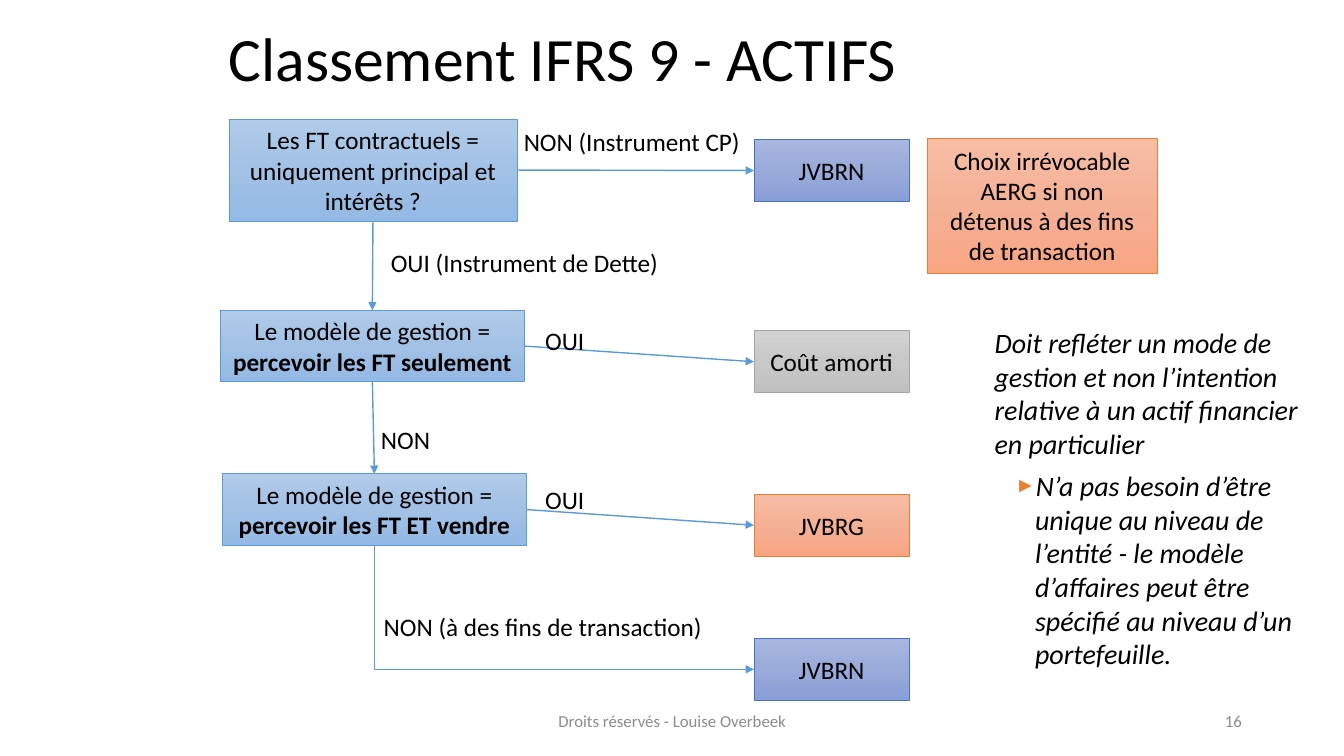
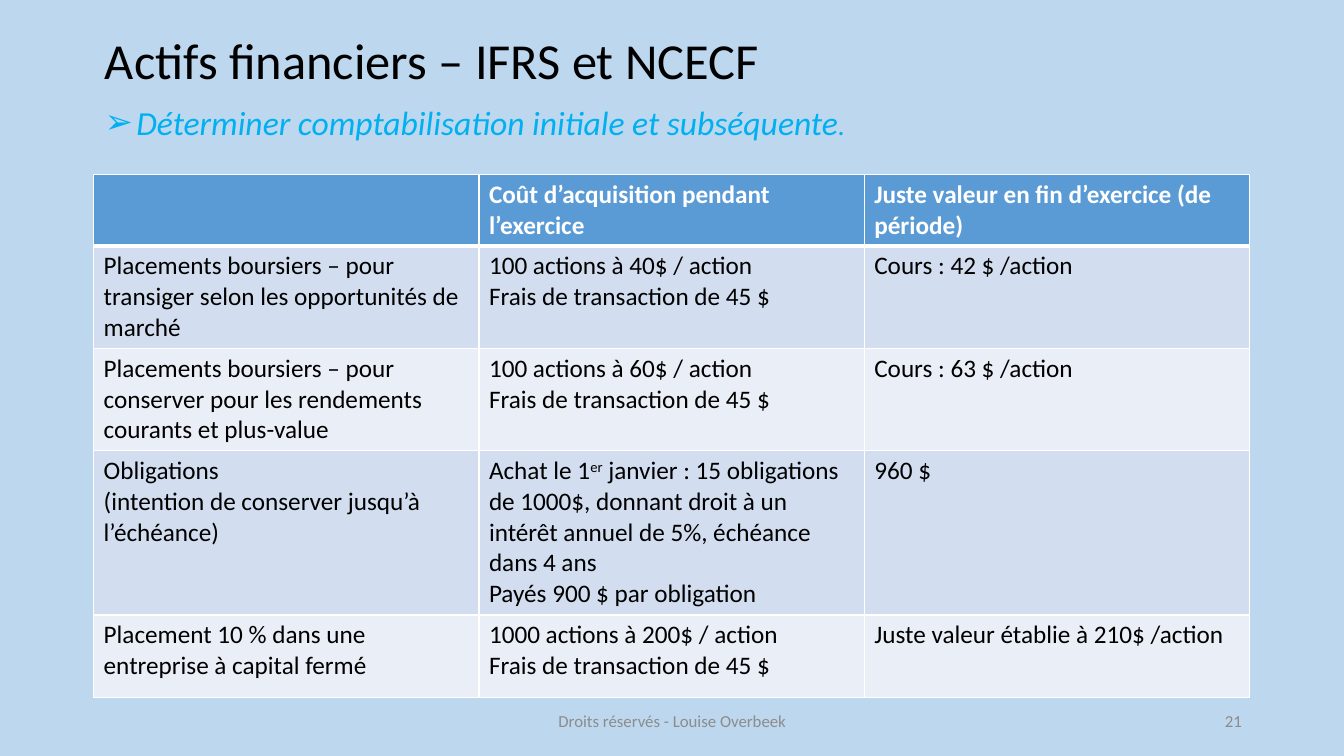
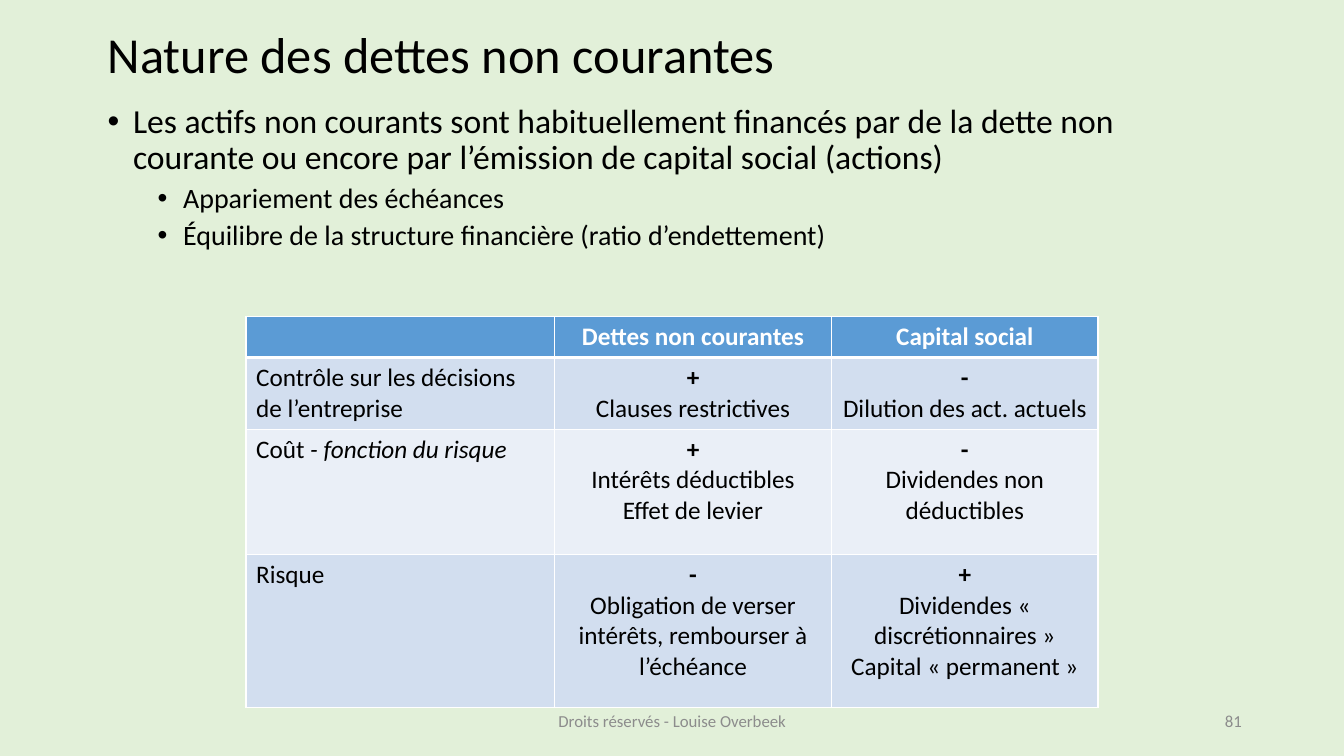
from copy import deepcopy
from itertools import product

from lxml.etree import SubElement
from pptx import Presentation
from pptx.dml.color import RGBColor
from pptx.enum.shapes import MSO_CONNECTOR as Connector, MSO_SHAPE as Shape
from pptx.enum.text import MSO_ANCHOR as Anchor, MSO_AUTO_SIZE as AutoSize, PP_ALIGN as Align
from pptx.oxml.ns import qn
from pptx.util import Cm, Pt

FONT = "Calibri"
BLACK = RGBColor(0x00, 0x00, 0x00)
WHITE = RGBColor(0xFF, 0xFF, 0xFF)
GREY = RGBColor(0x8C, 0x8C, 0x8C)
CYAN = RGBColor(0x00, 0xB0, 0xF0)
BLUE = RGBColor(0x5B, 0x9B, 0xD5)
ORANGE = RGBColor(0xED, 0x7D, 0x31)
SILVER = RGBColor(0xA5, 0xA5, 0xA5)
INDIGO = RGBColor(0x44, 0x72, 0xC4)
PALE_BLUE = RGBColor(0xBD, 0xD7, 0xEE)
PALE_GREEN = RGBColor(0xE2, 0xF0, 0xD9)
BANDS = (RGBColor(0xEA, 0xEF, 0xF7), RGBColor(0xD2, 0xDE, 0xEF))
GRADIENTS = {
    BLUE: ("B1CBE9", "A3C1E5", "93B9E4"),
    ORANGE: ("F7BDA5", "F5B196", "F8A582"),
    SILVER: ("D2D2D2", "C8C8C8", "C0C0C0"),
    INDIGO: ("A8B7DF", "9AABD9", "889ED7"),
}

FOOTER = "Droits réservés - Louise Overbeek"
FOOTER_AREA = (11.23, 17.65, 11.43, 1.02)
NUMBER_AREA = (23.93, 17.65, 7.62, 1.02)

BOLD = {"bold": True}
ITALIC = {"italic": True}
RAISED = {"raised": True}
PLUS = [("+", BOLD)]
MINUS = [("-", BOLD)]

RESULT_SIZE = (3.91, 1.57)
BOXES = {
    "choice": ((23.37, 3.48, 5.79, 3.4), ORANGE,
               "Choix irrévocable AERG si non détenus à des fins de transaction"),
    "cash flows": ((5.77, 3, 7.26, 2.57), BLUE,
                   "Les FT contractuels = uniquement principal et intérêts ?"),
    "collect": ((5.56, 7.82, 7.65, 1.8), BLUE,
                [("Le modèle de gestion = ", {}), ("percevoir les FT seulement", BOLD)]),
    "collect and sell": ((5.61, 11.94, 7.65, 1.8), BLUE,
                         [("Le modèle de gestion = ", {}), ("percevoir les FT ET vendre", BOLD)]),
    "equity": ((19, 3.51, *RESULT_SIZE), INDIGO, "JVBRN"),
    "amortised cost": ((19, 8.33, *RESULT_SIZE), SILVER, "Coût amorti"),
    "fair value": ((19, 12.45, *RESULT_SIZE), ORANGE, "JVBRG"),
    "trading": ((19, 16.08, *RESULT_SIZE), INDIGO, "JVBRN"),
}
TOP, LEFT, BOTTOM, RIGHT = range(4)
ARROWS = [
    ("cash flows", BOTTOM, "collect", TOP),
    ("collect", BOTTOM, "collect and sell", TOP),
    ("cash flows", RIGHT, "equity", LEFT),
    ("collect", RIGHT, "amortised cost", LEFT),
    ("collect and sell", RIGHT, "fair value", LEFT),
]
LABELS = [
    (12.95, 3.07, 6.02, "NON (Instrument CP)"),
    (9.6, 6.12, 7.37, "OUI (Instrument de Dette)"),
    (13.49, 8.08, 1.5, "OUI"),
    (9.35, 10.57, 1.75, "NON"),
    (13.49, 12.07, 1.5, "OUI"),
    (9.42, 15.27, 8.64, "NON (à des fins de transaction)"),
]

SIDE_NOTES = [
    {"text": [("Doit refléter un mode de gestion et non l’intention relative à un actif "
               "financier en particulier", ITALIC)],
     "level": 1, "margin": 0.25, "indent": 0, "size": 20},
    {"text": [("N’a pas besoin d’être unique au niveau de l’entité - le modèle d’affaires "
               "peut être spécifié au niveau d’un portefeuille.", ITALIC)],
     "level": 1, "margin": 1.27, "indent": -0.5, "size": 20, "before": 6,
     "bullet": "►", "bullet_color": ORANGE, "bullet_size": 75},
]
GOAL = [
    {"text": [("Déterminer comptabilisation initiale et subséquente", ITALIC),
              (".", {"italic": True, "size": 20})],
     "margin": 0.79, "indent": -0.79, "size": 24, "color": CYAN, "bullet": "➢"},
]
SUB_ITEM = {"level": 1, "margin": 1.9, "indent": -0.64, "size": 20, "before": 5,
            "bullet": "•", "spacing": 0.9}
FINANCING = [
    {"text": "Les actifs non courants sont habituellement financés par de la dette non courante "
             "ou encore par l’émission de capital social (actions)",
     "margin": 0.64, "indent": -0.64, "size": 24, "bullet": "•", "spacing": 0.9},
    {"text": "Appariement des échéances", **SUB_ITEM},
    {"text": "Équilibre de la structure financière (ratio d’endettement)", **SUB_ITEM},
]

FEES = "Frais de transaction de 45 $"
ASSETS = [
    [[], ["Coût d’acquisition pendant l’exercice"],
     ["Juste valeur en fin d’exercice (de période)"]],
    [["Placements boursiers – pour transiger selon les opportunités de marché"],
     ["100 actions à 40$ / action", FEES], ["Cours : 42 $ /action"]],
    [["Placements boursiers – pour conserver pour les rendements courants et plus-value"],
     ["100 actions à 60$ / action", FEES], ["Cours : 63 $ /action"]],
    [["Obligations", "(intention de conserver jusqu’à l’échéance)"],
     [[("Achat le 1", {}), ("er", RAISED),
       (" janvier : 15 obligations de 1000$, donnant droit à un intérêt annuel de 5%, "
        "échéance dans 4 ans", {})], "Payés 900 $ par obligation"],
     ["960 $"]],
    [["Placement 10 % dans une entreprise à capital fermé"],
     ["1000 actions à 200$ / action", FEES], ["Juste valeur établie à 210$ /action"]],
]
DEBT_OR_EQUITY = [
    [[], ["Dettes non courantes"], ["Capital social"]],
    [["Contrôle sur les décisions de l’entreprise"],
     [PLUS, "Clauses restrictives"], [MINUS, "Dilution des act. actuels"]],
    [[[("Coût ", {}), ("- fonction du risque", ITALIC)]],
     [PLUS, "Intérêts déductibles", "Effet de levier"],
     [MINUS, "Dividendes non déductibles"]],
    [["Risque"],
     [MINUS, "Obligation de verser intérêts, rembourser à l’échéance"],
     [PLUS, "Dividendes « discrétionnaires »", "Capital « permanent »"]],
]


def lengths(values):
    return [Cm(value) for value in values]


def place(shape, area):
    shape.left, shape.top, shape.width, shape.height = lengths(area)


def write(paragraph, text, size=18, color=BLACK, bold=False, align=Align.LEFT):
    paragraph.alignment = align
    for words, style in [(text, {})] if isinstance(text, str) else text:
        run = paragraph.add_run()
        run.text = words
        font = run.font
        font.name = FONT
        font.size = Pt(style.get("size", size))
        font.bold = style.get("bold", bold)
        font.italic = style.get("italic", False)
        font.color.rgb = color
        if style.get("raised"):
            run._r.get_or_add_rPr().set("baseline", "30000")


def add_text(slide, area, text, wrap=True, anchor=Anchor.TOP, **style):
    box = slide.shapes.add_textbox(*lengths(area))
    frame = box.text_frame
    frame.word_wrap = wrap
    frame.auto_size = AutoSize.NONE if wrap else AutoSize.SHAPE_TO_FIT_TEXT
    frame.vertical_anchor = anchor
    write(frame.paragraphs[0], text, **style)


def set_bullet(paragraph, item):
    properties = paragraph._p.get_or_add_pPr()
    properties.set("marL", str(Cm(item["margin"])))
    properties.set("indent", str(Cm(item["indent"])))
    if "bullet" not in item:
        SubElement(properties, qn("a:buNone"))
        return
    if "bullet_color" in item:
        color = SubElement(properties, qn("a:buClr"))
        SubElement(color, qn("a:srgbClr"), val=str(item["bullet_color"]))
    if "bullet_size" in item:
        SubElement(properties, qn("a:buSzPct"), val=str(item["bullet_size"] * 1000))
    SubElement(properties, qn("a:buFont"), typeface="Arial")
    SubElement(properties, qn("a:buChar"), char=item["bullet"])


def fill_list(slide, area, items):
    body = slide.placeholders[1]
    place(body, area)
    frame = body.text_frame
    frame.word_wrap = True
    frame.auto_size = AutoSize.NONE
    for index, item in enumerate(items):
        paragraph = frame.add_paragraph() if index else frame.paragraphs[0]
        paragraph.level = item.get("level", 0)
        paragraph.line_spacing = item.get("spacing", 1.0)
        paragraph.space_before = Pt(item.get("before", 0))
        set_bullet(paragraph, item)
        write(paragraph, item["text"], item["size"], item.get("color", BLACK))


def add_slide(presentation, title, title_area, title_size, number, background):
    slide = presentation.slides.add_slide(presentation.slide_layouts[1])
    fill = slide.background.fill
    fill.solid()
    fill.fore_color.rgb = background
    heading = slide.shapes.title
    place(heading, title_area)
    frame = heading.text_frame
    frame.word_wrap = True
    frame.auto_size = AutoSize.NONE
    frame.vertical_anchor = Anchor.MIDDLE
    frame.paragraphs[0].line_spacing = 0.9
    write(frame.paragraphs[0], title, title_size)
    for area, text, align in ((FOOTER_AREA, FOOTER, Align.CENTER),
                              (NUMBER_AREA, str(number), Align.RIGHT)):
        add_text(slide, area, text, anchor=Anchor.MIDDLE, size=12, color=GREY, align=align)
    return slide


def add_box(slide, area, color, text):
    box = slide.shapes.add_shape(Shape.RECTANGLE, *lengths(area))
    box.shadow.inherit = False
    box.fill.gradient()
    box.fill.gradient_angle = 270
    stop_list = box._element.spPr.find(".//" + qn("a:gsLst"))
    stop_list.insert(1, deepcopy(stop_list[0]))
    for stop, position, shade in zip(box.fill.gradient_stops, (0, 0.5, 1), GRADIENTS[color]):
        stop.position = position
        stop.color.rgb = RGBColor.from_string(shade)
    box.line.color.rgb = color
    box.line.width = Pt(0.5)
    box.text_frame.word_wrap = True
    box.text_frame.vertical_anchor = Anchor.MIDDLE
    write(box.text_frame.paragraphs[0], text, align=Align.CENTER)
    return box


def add_arrow(slide, kind, *ends):
    arrow = slide.shapes.add_connector(kind, *ends)
    arrow.line.color.rgb = BLUE
    arrow.line.width = Pt(1)
    SubElement(arrow.line._get_or_add_ln(), qn("a:tailEnd"), type="triangle")
    SubElement(arrow._element.spPr, qn("a:effectLst"))
    return arrow


def add_corner_arrow(slide, source, target):
    start_x, start_y = source.left + source.width // 2, source.top + source.height
    end_x, end_y = target.left, target.top + target.height // 2
    middle_x, middle_y = (start_x + end_x) // 2, (start_y + end_y) // 2
    half_run, half_drop = (end_x - start_x) // 2, (end_y - start_y) // 2
    arrow = add_arrow(slide, Connector.ELBOW, middle_x + half_drop, middle_y - half_run,
                      middle_x - half_drop, middle_y + half_run)
    properties = arrow._element.spPr
    properties.find(qn("a:xfrm")).set("rot", "16200000")
    properties.find(qn("a:prstGeom")).set("prst", "bentConnector2")


def set_borders(cell, row):
    widths = {"L": 1, "R": 1, "T": 3 if row == 1 else 1, "B": 3 if row == 0 else 1}
    properties = cell._tc.get_or_add_tcPr()
    for index, (side, width) in enumerate(widths.items()):
        line = SubElement(properties, qn("a:ln" + side), w=str(Pt(width)))
        fill = SubElement(line, qn("a:solidFill"))
        SubElement(fill, qn("a:srgbClr"), val=str(WHITE))
        properties.insert(index, line)


def add_grid(slide, left, top, widths, heights, rows, value_align):
    area = (left, top, sum(widths), sum(heights))
    table = slide.shapes.add_table(len(rows), len(widths), *lengths(area)).table
    for column, width in zip(table.columns, widths):
        column.width = Cm(width)
    for row, height in zip(table.rows, heights):
        row.height = Cm(height)
    for row, column in product(range(len(rows)), range(len(widths))):
        cell = table.cell(row, column)
        cell.fill.solid()
        cell.fill.fore_color.rgb = BANDS[row % 2] if row else BLUE
        set_borders(cell, row)
        for index, text in enumerate(rows[row][column]):
            frame = cell.text_frame
            paragraph = frame.add_paragraph() if index else frame.paragraphs[0]
            write(paragraph, text, color=BLACK if row else WHITE, bold=row == 0,
                  align=value_align if column else Align.LEFT)


def build_classification(presentation):
    slide = add_slide(presentation, "Classement IFRS 9 - ACTIFS",
                      (5.51, 0.33, 22.86, 2.46), 44, 16, WHITE)
    fill_list(slide, (24.56, 8.08, 8.48, 9.02), SIDE_NOTES)
    boxes = {name: add_box(slide, *box) for name, box in BOXES.items()}
    for source, exit_side, target, entry_side in ARROWS:
        arrow = add_arrow(slide, Connector.STRAIGHT, 0, 0, 0, 0)
        arrow.begin_connect(boxes[source], exit_side)
        arrow.end_connect(boxes[target], entry_side)
    add_corner_arrow(slide, boxes["collect and sell"], boxes["trading"])
    for left, top, width, text in LABELS:
        add_text(slide, (left, top, width, 1.02), text, wrap=False)


def build_assets(presentation):
    slide = add_slide(presentation, "Actifs financiers – IFRS et NCECF",
                      (2.39, 0.76, 29.13, 1.65), 36, 21, PALE_BLUE)
    fill_list(slide, (2.39, 2.44, 26.75, 1.27), GOAL)
    add_grid(slide, 2.36, 4.39, [9.71] * 3, [1.78, 2.57, 2.57, 4.14, 2.08],
             ASSETS, Align.LEFT)


def build_debts(presentation):
    slide = add_slide(presentation, "Nature des dettes non courantes",
                      (2.46, 0.76, 29.08, 1.37), 36, 81, PALE_GREEN)
    fill_list(slide, (2.46, 2.51, 28.88, 14.5), FINANCING)
    add_grid(slide, 6.2, 7.98, [7.77, 6.99, 6.71], [1, 1.78, 3.15, 3.86],
             DEBT_OR_EQUITY, Align.CENTER)


def main():
    presentation = Presentation()
    presentation.slide_width, presentation.slide_height = Cm(33.87), Cm(19.05)
    build_classification(presentation)
    build_assets(presentation)
    build_debts(presentation)
    presentation.save("out.pptx")


if __name__ == "__main__":
    main()
